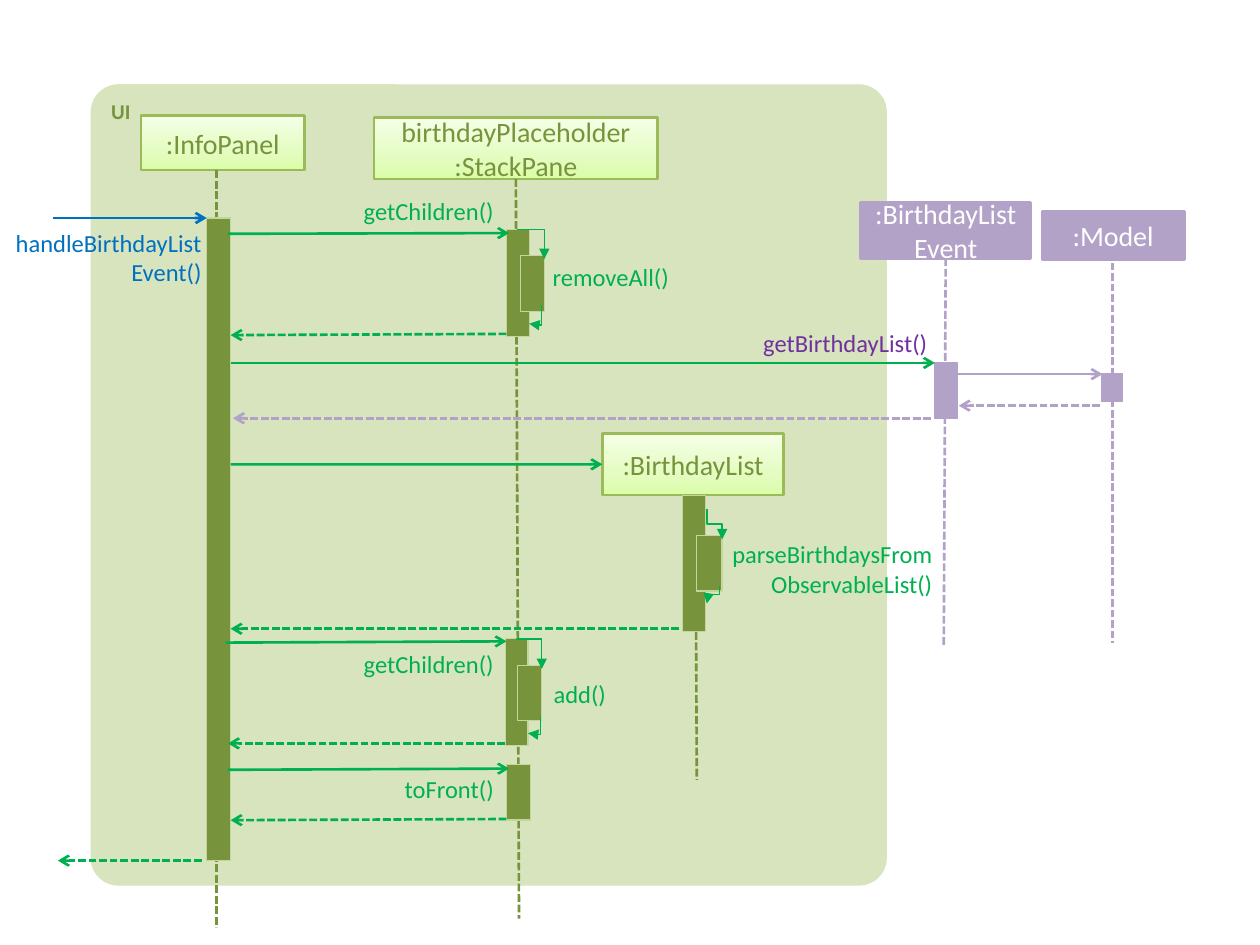
from copy import deepcopy
from dataclasses import dataclass
from lxml.etree import SubElement
from pptx import Presentation
from pptx.dml.color import RGBColor
from pptx.enum.dml import MSO_LINE
from pptx.enum.shapes import MSO_CONNECTOR, MSO_SHAPE
from pptx.enum.text import MSO_ANCHOR, PP_ALIGN
from pptx.oxml.ns import qn
from pptx.util import Pt


@dataclass(frozen=True)
class Theme:
    font: str = "Calibri"
    panel: str = "D7E4BD"
    olive: str = "77933C"
    rim: str = "C3D69B"
    edge: str = "9BBB59"
    lilac: str = "B3A2C7"
    green: str = "00B050"
    blue: str = "0070C0"
    purple: str = "7030A0"
    white: str = "FFFFFF"
    fade: tuple = ("DAFDA7", "E4FCC2", "F5FFE7")
    tag: int = 12
    label: int = 14
    head: int = 16
    thin: float = 0.75
    bold: float = 1.5


look = Theme()
deck = Presentation()
deck.slide_width, deck.slide_height = Pt(720), Pt(540)
slide = deck.slides.add_slide(deck.slide_layouts[6])
shapes = slide.shapes


def write(text, x, y, w, h, fill=None, edge=None, width=look.bold, tone=look.green,
          size=look.label, bold=False, align=PP_ALIGN.RIGHT, anchor=MSO_ANCHOR.TOP,
          form=MSO_SHAPE.RECTANGLE):
    area = Pt(x), Pt(y), Pt(w), Pt(h)
    if fill is None:
        shape = shapes.add_textbox(*area)
    else:
        shape = shapes.add_shape(form, *area)
        shape.shadow.inherit = False
        if fill == look.fade:
            shape.fill.gradient()
            shape.fill.gradient_angle = 90
            first = shape.fill._xPr.find(".//" + qn("a:gs"))
            mid = deepcopy(first)
            mid.set("pos", "35000")
            first.addnext(mid)
            for stop, shade in zip(shape.fill.gradient_stops, fill):
                stop.color.rgb = RGBColor.from_string(shade)
        else:
            shape.fill.solid()
            shape.fill.fore_color.rgb = RGBColor.from_string(fill)
        if edge:
            shape.line.color.rgb = RGBColor.from_string(edge)
            shape.line.width = Pt(width)
        else:
            shape.line.fill.background()
    if not text:
        return shape
    frame = shape.text_frame
    frame.word_wrap = True
    frame.vertical_anchor = anchor
    if fill is None:
        frame.margin_left = frame.margin_right = frame.margin_top = frame.margin_bottom = 0
    frame.text = text
    for para in frame.paragraphs:
        para.alignment = align
        font = para.runs[0].font
        font.name, font.size, font.bold = look.font, Pt(size), bold
        font.color.rgb = RGBColor.from_string(tone)
    return shape


def wire(x1, y1, x2, y2, tone=look.green, width=look.bold, dash=False, tip="arrow",
         kind=MSO_CONNECTOR.STRAIGHT):
    line = shapes.add_connector(kind, Pt(x1), Pt(y1), Pt(x2), Pt(y2))
    line.line.color.rgb = RGBColor.from_string(tone)
    line.line.width = Pt(width)
    if dash:
        line.line.dash_style = MSO_LINE.SQUARE_DOT
    if tip:
        SubElement(line.line._get_or_add_ln(), qn("a:tailEnd"), type=tip)
    SubElement(line._element.spPr, qn("a:effectLst"))
    return line


panel = write("UI", 51.8, 48.2, 455, 457.9, fill=look.panel, tone=look.olive, size=look.tag,
              bold=True, align=PP_ALIGN.LEFT, form=MSO_SHAPE.ROUNDED_RECTANGLE)
panel.adjustments[0] = 0.035

ui = dict(fill=look.fade, edge=look.edge, tone=look.olive)
data = dict(fill=look.lilac, edge=look.lilac, tone=look.white)
heads = {}
for name, text, x, y, w, h, style in [
    ("info", ":InfoPanel", 80.6, 66.2, 93.6, 31, ui),
    ("stack", "birthdayPlaceholder\n:StackPane", 213.8, 67, 162, 35.3, ui),
    ("list", ":BirthdayList", 344.2, 247.7, 103.7, 35.3, ui),
    ("event", ":BirthdayListEvent", 491.8, 115.9, 97.2, 31.7, data),
    ("model", ":Model", 595.4, 121, 81.4, 27.4, data),
]:
    heads[name] = write(text, x, y, w, h, size=look.head, align=PP_ALIGN.CENTER,
                        anchor=MSO_ANCHOR.MIDDLE, **style)

for name, x1, y1, x2, y2, tone, join in [
    ("info", 123.8, 97.2, 123.8, 529.9, look.olive, False),
    ("stack", 295.9, 102.2, 296.6, 524.9, look.olive, True),
    ("list", 397.4, 283, 398.2, 445.7, look.olive, False),
    ("event", 539.3, 147.6, 539.3, 369.4, look.lilac, True),
    ("model", 635.8, 144, 635.8, 367.2, look.lilac, False),
]:
    life = wire(x1, y1, x2, y2, tone=tone, dash=True, tip=None)
    if join:
        life.begin_connect(heads[name], 2)

for x, y, w, h, fill, edge in [
    (118.1, 124.6, 13.7, 367.2, look.olive, look.rim),
    (289.4, 131, 13, 61.2, look.olive, look.rim),
    (297.4, 146.2, 13.7, 31.7, look.olive, look.rim),
    (390.2, 283, 13, 77.8, look.olive, look.rim),
    (398.2, 306, 14.4, 31.7, look.olive, look.rim),
    (288.7, 365, 13, 61.2, look.olive, look.rim),
    (295.9, 380.2, 13.7, 31.7, look.olive, look.rim),
    (289.4, 437, 13.7, 31.7, look.olive, look.rim),
    (534.2, 207.4, 13, 31.7, look.lilac, look.lilac),
    (629.3, 213.8, 12.2, 15.8, look.lilac, look.lilac),
]:
    write("", x, y, w, h, fill=fill, edge=edge, width=look.thin)

for x1, y1, x2, y2, tone in [
    (30.2, 124.6, 118.1, 124.6, look.blue),
    (130.3, 133.6, 290.9, 133.2, look.green),
    (131.8, 207.4, 534.2, 207.4, look.green),
    (546.5, 213.8, 630, 213.8, look.lilac),
    (128.9, 367.2, 289.4, 366.5, look.green),
    (130.3, 439.9, 290.9, 439.2, look.green),
]:
    wire(x1, y1, x2, y2, tone=tone)
wire(131.8, 265.4, 344.2, 265.4).end_connect(heads["list"], 1)

for x1, y1, x2, y2, tone in [
    (289.4, 190.8, 131.8, 191.5, look.green),
    (628.6, 231.8, 547.9, 231.8, look.lilac),
    (532.1, 239, 133.2, 239, look.lilac),
    (388.1, 359.3, 131.8, 359.3, look.green),
    (288.7, 424.8, 130.3, 424.8, look.green),
    (289.4, 468, 131.8, 468.7, look.green),
    (115.2, 491.8, 33.1, 491.8, look.green),
]:
    wire(x1, y1, x2, y2, tone=tone, dash=True)

for x1, y1, x2, y2, bend in [
    (295.9, 131, 311, 148, 0.01),
    (309.6, 174.2, 302.4, 185, 1.07),
    (403.9, 290.9, 412.6, 308.2, 0.5),
    (411.1, 334.8, 403.9, 344.9, 0.5),
    (295.2, 365, 309.6, 382.3, 0.01),
    (308.9, 409, 301.7, 419, 1.07),
]:
    w, h = y2 - y1, abs(x2 - x1)
    x, y = (x1 + x2 - w) / 2, (y1 + y2 - h) / 2
    turn = wire(x, y, x + w, y + h, width=look.thin, tip="triangle", kind=MSO_CONNECTOR.ELBOW)
    props = turn._element.spPr
    frame = props.find(qn("a:xfrm"))
    frame.set("rot", str((270 if x2 > x1 else 90) * 60000))
    if x2 > x1:
        frame.set("flipH", "1")
    SubElement(props.find(".//" + qn("a:avLst")), qn("a:gd"), name="adj1",
               fmla=f"val {round(bend * 100000)}")

for text, x, y, w, h, tone in [
    ("handleBirthdayListEvent()", 2.9, 130.3, 112.3, 33.8, look.blue),
    ("getBirthdayList()", 417.6, 187.2, 112.3, 17.3, look.purple),
    ("getChildren()", 169.9, 112.3, 112.3, 17.3, look.green),
    ("removeAll()", 270, 149.8, 112.3, 17.3, look.green),
    ("parseBirthdaysFromObservableList()", 411.8, 308.2, 121, 33.8, look.green),
    ("add()", 302.4, 388.1, 43.9, 17.3, look.green),
    ("getChildren()", 169.9, 370.8, 112.3, 17.3, look.green),
    ("toFront()", 169.9, 442.1, 112.3, 17.3, look.green),
]:
    write(text, x, y, w, h, tone=tone)

deck.save("out.pptx")
